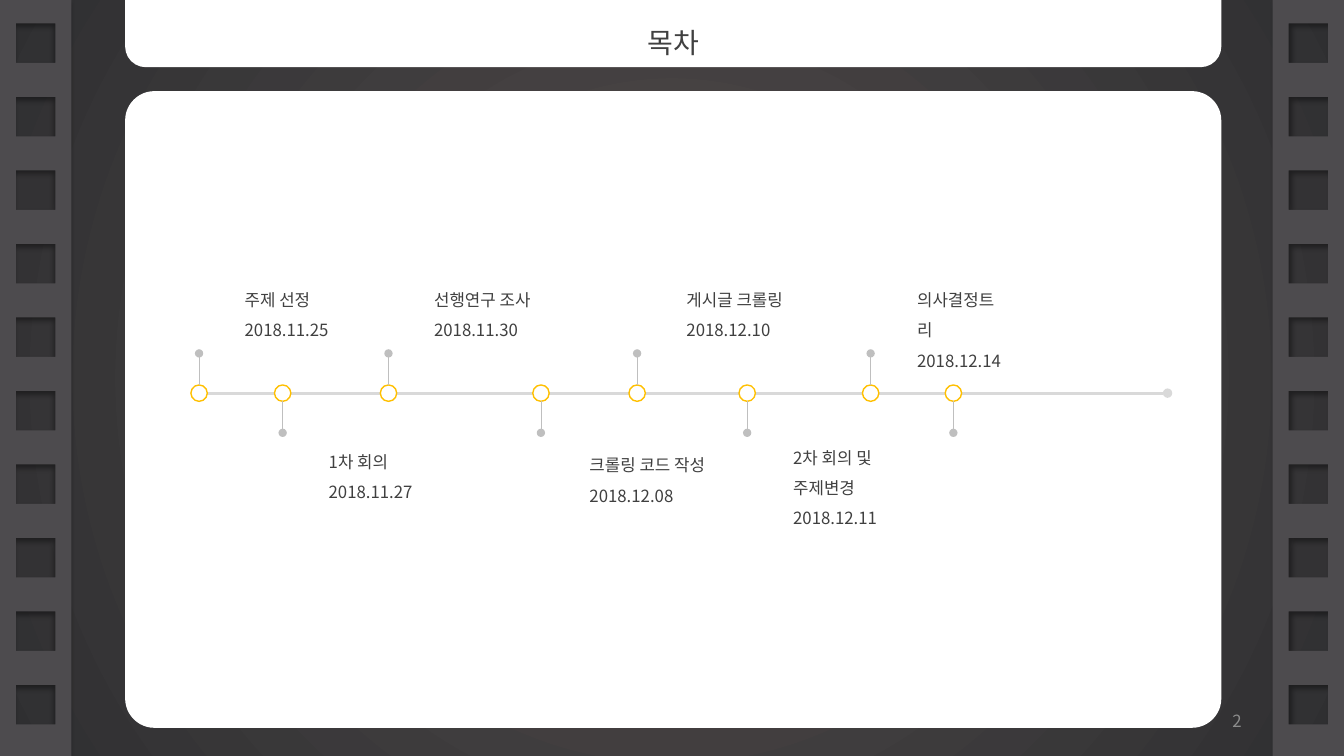
from dataclasses import dataclass

import pptx
import pptx.dml.color
import pptx.enum.shapes
import pptx.enum.text
import pptx.oxml
import pptx.oxml.ns
import pptx.util
from lxml import etree

RGBColor = pptx.dml.color.RGBColor
MSO_SHAPE = pptx.enum.shapes.MSO_SHAPE
PP_ALIGN = pptx.enum.text.PP_ALIGN
MSO_ANCHOR = pptx.enum.text.MSO_ANCHOR
MSO_AUTO_SIZE = pptx.enum.text.MSO_AUTO_SIZE
qn = pptx.oxml.ns.qn

WHITE = RGBColor(0xFF, 0xFF, 0xFF)
INK = RGBColor(0x40, 0x40, 0x40)
PAGE_GRAY = RGBColor(0x8C, 0x8C, 0x8C)
GLOW = RGBColor(0x52, 0x4C, 0x4C)
DARK = RGBColor(0x2F, 0x2F, 0x31)
FILM = RGBColor(0x4D, 0x4B, 0x4E)
AXIS_GRAY = RGBColor(0xD9, 0xD9, 0xD9)
STEM_GRAY = RGBColor(0xBF, 0xBF, 0xBF)
AMBER = RGBColor(0xFF, 0xC0, 0x00)
FONT = "Noto Sans CJK KR"

COLUMNS, ROWS = 160, 90
SLIDE_WIDTH, SLIDE_HEIGHT = pptx.util.Inches(13.333), pptx.util.Inches(7.5)

PANEL_LEFT, PANEL_WIDTH = 14.9, 130.5
STRIP_WIDTH = 8.5
HOLE_INSET, HOLE_SIZE, HOLE_TOP, HOLE_PITCH, HOLE_COUNT = 1.9, 4.7, 2.8, 8.75, 10
AXIS_ROW, AXIS_START, AXIS_END = 46.8, 23.7, 139
MARKER_SIZE, STEM_LENGTH = 1.95, 3.75
LABEL_ROW_ABOVE, LABEL_WIDTH = 32.7, 42.4


@dataclass(frozen=True)
class Milestone:
    column: float
    above: bool


@dataclass(frozen=True)
class Label:
    column: float
    row: float
    text: str
    width: float = LABEL_WIDTH


@dataclass(frozen=True)
class FilmStrip:
    left: float
    shadow_angle: int


MILESTONES = [
    Milestone(23.7, True),
    Milestone(33.65, False),
    Milestone(46.25, True),
    Milestone(64.4, False),
    Milestone(75.85, True),
    Milestone(88.95, False),
    Milestone(103.65, True),
    Milestone(113.5, False),
]
LABELS = [
    Label(27.95, LABEL_ROW_ABOVE, "주제 선정\n2018.11.25"),
    Label(37.95, 51.95, "1차 회의\n2018.11.27"),
    Label(50.5, LABEL_ROW_ABOVE, "선행연구 조사\n2018.11.30"),
    Label(69, 52.4, "크롤링 코드 작성\n2018.12.08"),
    Label(80.55, LABEL_ROW_ABOVE, "게시글 크롤링\n2018.12.10"),
    Label(93.25, 51.5, "2차 회의 및\n주제변경\n2018.12.11"),
    Label(108, LABEL_ROW_ABOVE, "의사결정트리\n2018.12.14", 13.1),
]
FILM_STRIPS = [FilmStrip(0, 135), FilmStrip(COLUMNS - STRIP_WIDTH, 45)]


def x(column: float) -> int:
    return round(SLIDE_WIDTH * column / COLUMNS)


def y(row: float) -> int:
    return round(SLIDE_HEIGHT * row / ROWS)


def paint_background(slide) -> None:
    fill = slide.background.fill
    fill.gradient()
    for stop, color in zip(fill.gradient_stops, (GLOW, DARK)):
        stop.color.rgb = color
    gradient = slide._element.find(".//" + qn("a:gradFill"))
    gradient.remove(gradient.find(qn("a:lin")))
    circle = etree.SubElement(gradient, qn("a:path"), path="circle")
    etree.SubElement(circle, qn("a:fillToRect"), l="50000", t="50000", r="50000", b="50000")


def add_panel(slide, kind, left: float, top: float, width: float, height: float):
    panel = slide.shapes.add_shape(kind, x(left), y(top), x(width), y(height))
    panel.shadow.inherit = False
    panel.fill.solid()
    panel.fill.fore_color.rgb = WHITE
    panel.line.fill.background()
    return panel


def add_film_strip(slide, strip: FilmStrip) -> None:
    right = strip.left + STRIP_WIDTH
    outline = slide.shapes.build_freeform(x(strip.left), 0)
    outline.add_line_segments([(x(right), 0), (x(right), y(ROWS)), (x(strip.left), y(ROWS))])
    hole_left = x(strip.left + HOLE_INSET)
    hole_right = x(strip.left + HOLE_INSET + HOLE_SIZE)
    for index in range(HOLE_COUNT):
        top = HOLE_TOP + index * HOLE_PITCH
        bottom = y(top + HOLE_SIZE)
        outline.move_to(hole_left, y(top))
        outline.add_line_segments([(hole_left, bottom), (hole_right, bottom), (hole_right, y(top))])
    film = outline.convert_to_shape()
    film.fill.solid()
    film.fill.fore_color.rgb = FILM
    film.line.fill.background()
    film.shadow.inherit = False
    effects = film._element.spPr.find(qn("a:effectLst"))
    shadow = etree.SubElement(
        effects, qn("a:outerShdw"), blurRad=str(pptx.util.Pt(4)), dist=str(pptx.util.Pt(3)),
        dir=str(strip.shadow_angle * 60000), algn="t", rotWithShape="0")
    black = etree.SubElement(shadow, qn("a:srgbClr"), val="000000")
    etree.SubElement(black, qn("a:alpha"), val="40000")


def add_line(slide, start: tuple[float, float], end: tuple[float, float],
             color: RGBColor, weight: float, ovals: tuple[str, ...]) -> None:
    line = slide.shapes.add_connector(
        pptx.enum.shapes.MSO_CONNECTOR.STRAIGHT, x(start[0]), y(start[1]), x(end[0]), y(end[1]))
    line.line.color.rgb = color
    line.line.width = pptx.util.Pt(weight)
    for tip in ovals:
        etree.SubElement(line.line._get_or_add_ln(), qn(tip), type="oval")
    etree.SubElement(line._element.spPr, qn("a:effectLst"))


def add_milestone(slide, milestone: Milestone) -> None:
    radius = MARKER_SIZE / 2
    marker = add_panel(slide, MSO_SHAPE.OVAL, milestone.column - radius, AXIS_ROW - radius,
                       MARKER_SIZE, MARKER_SIZE)
    marker.line.color.rgb = AMBER
    marker.line.width = pptx.util.Pt(1)
    direction = -1 if milestone.above else 1
    stem_start = AXIS_ROW + direction * radius
    add_line(slide, (milestone.column, stem_start),
             (milestone.column, stem_start + direction * STEM_LENGTH),
             STEM_GRAY, 0.5, ("a:tailEnd",))


def write(frame, text: str, size: int, color: RGBColor, align=PP_ALIGN.LEFT,
          spacing: float = 1.5, anchor=MSO_ANCHOR.TOP, fit=MSO_AUTO_SIZE.NONE) -> None:
    frame.text = text
    frame.word_wrap = True
    frame.auto_size = fit
    frame.vertical_anchor = anchor
    for paragraph in frame.paragraphs:
        paragraph.alignment = align
        paragraph.line_spacing = spacing
        for run in paragraph.runs:
            run.font.size = pptx.util.Pt(size)
            run.font.color.rgb = color
            run.font.name = FONT
            etree.SubElement(run.font._element, qn("a:ea"), typeface=FONT)


def add_label(slide, label: Label) -> None:
    height = 1.3 + 3.6 * len(label.text.splitlines())
    box = slide.shapes.add_textbox(x(label.column), y(label.row), x(label.width), y(height))
    write(box.text_frame, label.text, 12, INK, fit=MSO_AUTO_SIZE.SHAPE_TO_FIT_TEXT)


def main() -> None:
    deck = pptx.Presentation()
    deck.slide_width, deck.slide_height = SLIDE_WIDTH, SLIDE_HEIGHT
    slide = deck.slides.add_slide(deck.slide_layouts[5])
    paint_background(slide)

    body = add_panel(slide, MSO_SHAPE.ROUNDED_RECTANGLE, PANEL_LEFT, 10.85, PANEL_WIDTH, 75.8)
    body.adjustments[0] = 0.046
    header = add_panel(slide, MSO_SHAPE.ROUND_2_SAME_RECTANGLE, PANEL_LEFT, 0, PANEL_WIDTH, 8)
    header.adjustments[0], header.adjustments[1] = 0, 0.308

    title = slide.shapes.title
    title.left, title.top, title.width, title.height = header.left, header.top, header.width, header.height
    write(title.text_frame, "목차", 20, INK, PP_ALIGN.CENTER, anchor=MSO_ANCHOR.MIDDLE)
    slide.shapes._spTree.append(title._element)

    for strip in FILM_STRIPS:
        add_film_strip(slide, strip)
    add_line(slide, (AXIS_START, AXIS_ROW), (AXIS_END, AXIS_ROW), AXIS_GRAY, 2.25,
             ("a:headEnd", "a:tailEnd"))
    for milestone in MILESTONES:
        add_milestone(slide, milestone)
    for label in LABELS:
        add_label(slide, label)

    page = slide.shapes.add_textbox(x(113), y(83.4), x(36), y(4.8))
    write(page.text_frame, "2", 12, PAGE_GRAY, PP_ALIGN.RIGHT, 1, MSO_ANCHOR.MIDDLE)
    deck.save("out.pptx")


if __name__ == "__main__":
    main()
